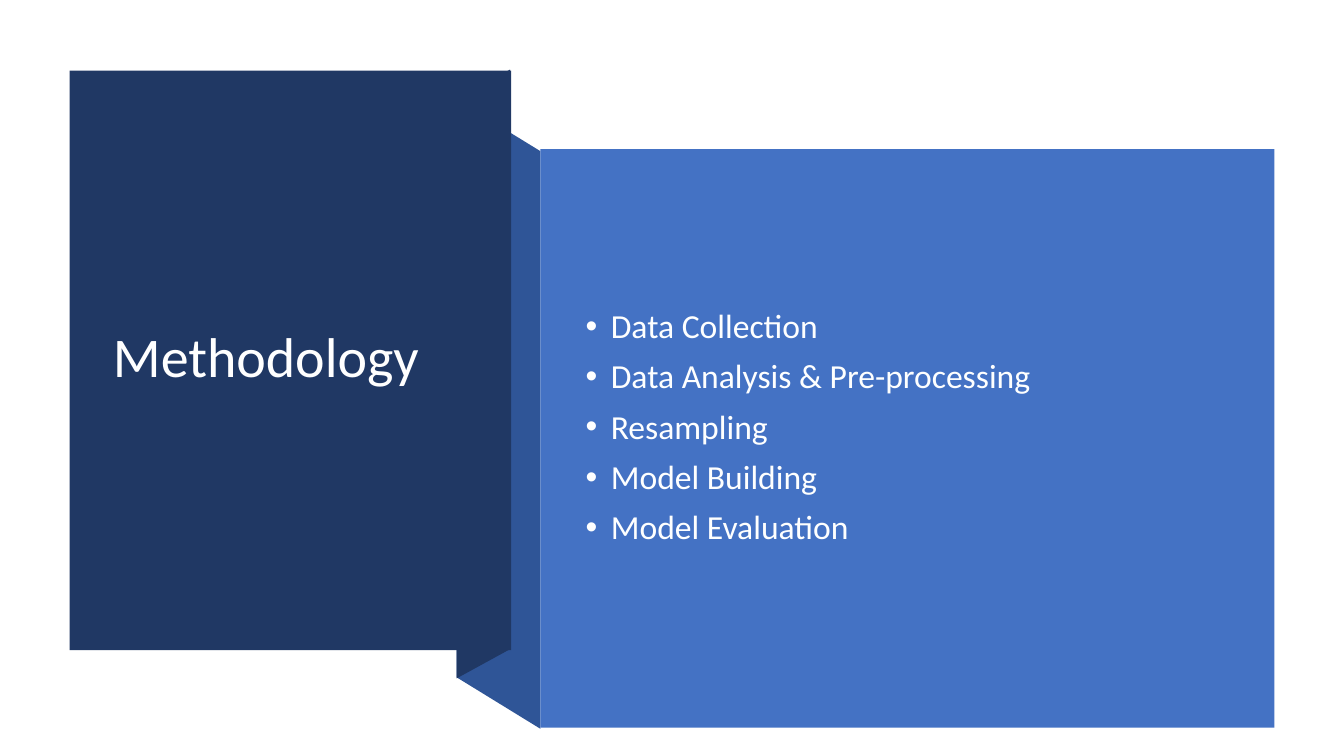
from dataclasses import dataclass

from lxml.etree import SubElement as Sub
from pptx import Presentation
from pptx.dml.color import RGBColor as RGB
from pptx.enum.shapes import MSO_SHAPE as Shape
from pptx.enum.text import MSO_ANCHOR as Anchor, PP_ALIGN as Align
from pptx.oxml.ns import qn
from pptx.util import Inches, Pt


@dataclass(frozen=True)
class Theme:
    font: str = "Calibri"
    navy: str = "203864"
    fold: str = "2F5597"
    blue: str = "4472C4"
    white: str = "FFFFFF"
    text: str = "FEFFFF"
    title: int = 40
    body: int = 24


THEME = Theme()
STEPS = (
    "Data Collection",
    "Data Analysis & Pre-processing",
    "Resampling",
    "Model Building",
    "Model Evaluation",
)


def paint(shape, color):
    shape.shadow.inherit = False
    shape.fill.solid()
    shape.fill.fore_color.rgb = RGB.from_string(color)
    shape.line.fill.background()


def add_panel(slide, box, color):
    panel = slide.shapes.add_shape(Shape.RECTANGLE, *map(Inches, box))
    paint(panel, color)


def add_fold(slide, points, color):
    spots = [(Inches(x), Inches(y)) for x, y in points]
    pen = slide.shapes.build_freeform(*spots[0])
    pen.add_line_segments(spots[1:], close=True)
    paint(pen.convert_to_shape(), color)


def set_frame(shape):
    frame = shape.text_frame
    frame.word_wrap = True
    frame.vertical_anchor = Anchor.MIDDLE
    return frame


def add_run(para, text, size, color):
    para.alignment = Align.LEFT
    para.line_spacing = 0.9
    run = para.add_run()
    run.text = text
    run.font.name = THEME.font
    run.font.size = Pt(size)
    run.font.color.rgb = RGB.from_string(color)


def add_bullet(para):
    para.space_before = Pt(10)
    props = para._p.get_or_add_pPr()
    props.set("marL", str(Inches(0.25)))
    props.set("indent", str(Inches(-0.25)))
    Sub(props, qn("a:buFont")).set("typeface", "Arial")
    Sub(props, qn("a:buChar")).set("char", "•")


def place_title(slide, text, box):
    title = slide.shapes.title
    title.left, title.top, title.width, title.height = map(Inches, box)
    add_run(set_frame(title).paragraphs[0], text, THEME.title, THEME.white)
    title.element.getparent().append(title.element)


def add_list(slide, items, box):
    frame = set_frame(slide.shapes.add_textbox(*map(Inches, box)))
    for i, item in enumerate(items):
        para = frame.add_paragraph() if i else frame.paragraphs[0]
        add_run(para, item, THEME.body, THEME.text)
        add_bullet(para)


def main():
    deck = Presentation()
    deck.slide_width = Inches(13.33)
    deck.slide_height = Inches(7.5)
    slide = deck.slides.add_slide(deck.slide_layouts[5])

    add_fold(slide, [(5.36, 7.23), (4.53, 6.72), (4.53, 0.99), (5.36, 1.5)], THEME.fold)
    add_fold(slide, [(5.06, 6.44), (4.53, 6.73), (4.53, 0.98), (5.06, 0.69)], THEME.navy)
    add_panel(slide, (0.69, 0.7, 4.38, 5.75), THEME.navy)
    place_title(slide, "Methodology", (1.02, 1.07, 3.71, 4.99))
    add_panel(slide, (5.36, 1.48, 7.28, 5.74), THEME.blue)
    add_list(slide, STEPS, (5.71, 1.88, 6.51, 4.74))

    deck.save("out.pptx")


if __name__ == "__main__":
    main()
